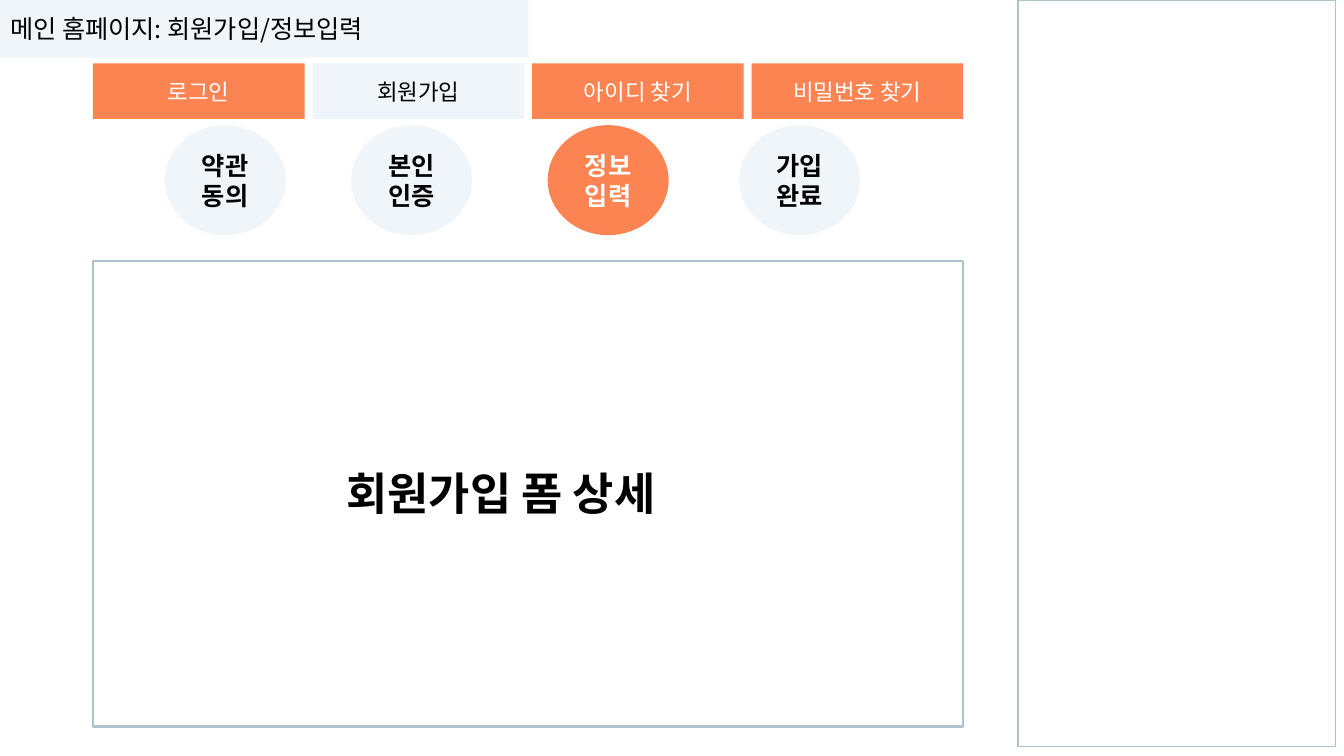
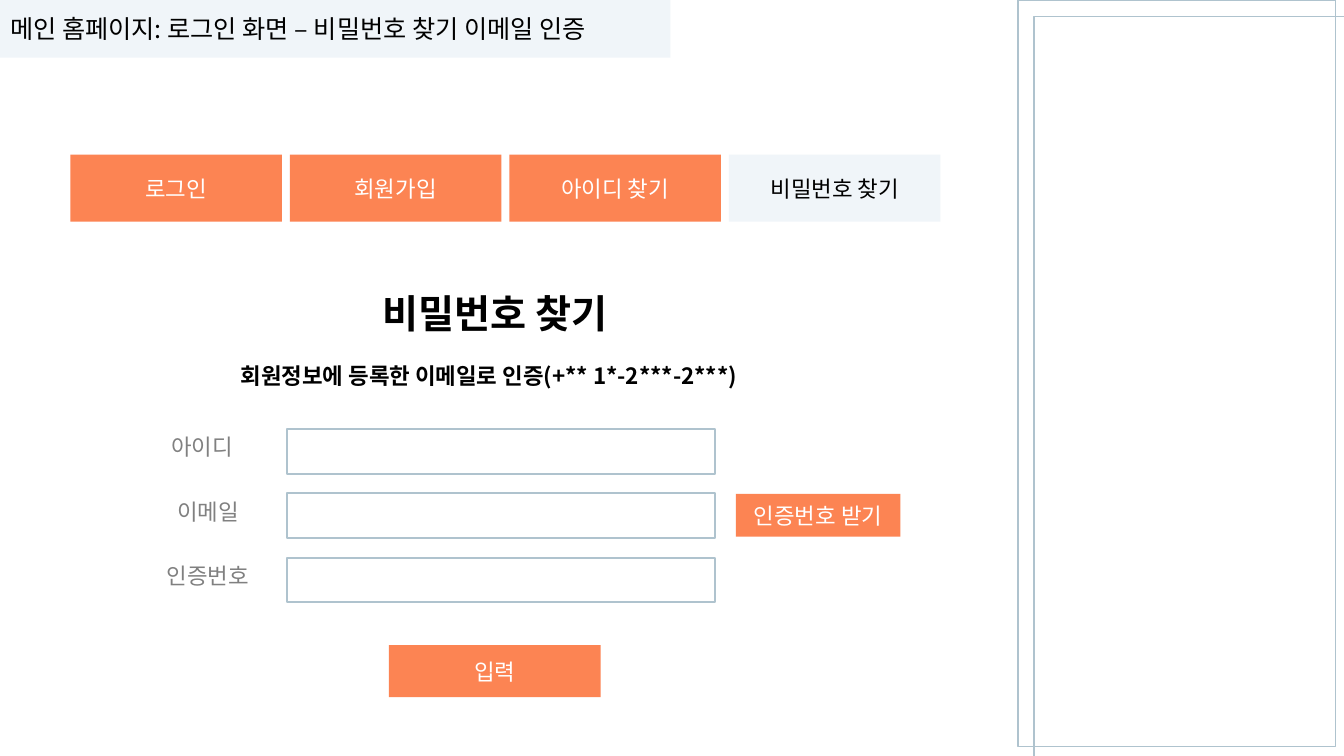
from dataclasses import dataclass
from lxml import etree
from pptx import Presentation
from pptx.dml.color import RGBColor
from pptx.enum.shapes import MSO_SHAPE
from pptx.enum.text import MSO_ANCHOR, MSO_AUTO_SIZE, PP_ALIGN
from pptx.oxml.ns import qn
from pptx.util import Inches, Pt

RECT, DISC = MSO_SHAPE.RECTANGLE, MSO_SHAPE.FLOWCHART_CONNECTOR
LEFT, MID = PP_ALIGN.LEFT, PP_ALIGN.CENTER
CENTER, FIXED = MSO_ANCHOR.MIDDLE, MSO_AUTO_SIZE.NONE
WIDE, HIGH = Inches(13.33), Inches(7.5)
COLS, ROWS = 160, 90


@dataclass(frozen=True)
class Theme:
    """Colours, type sizes and line widths of the deck."""
    font: str = "Noto Sans CJK KR"
    pale: str = "F0F5F9"
    warm: str = "FC8453"
    edge: str = "AFC3CE"
    ink: str = "000000"
    soft: str = "808080"
    white: str = "FFFFFF"
    hero: int = 32
    head: int = 28
    band: int = 18
    body: int = 16
    thin: float = 1
    firm: float = 1.5


T = Theme()
TABS = ("로그인", "회원가입", "아이디 찾기", "비밀번호 찾기")
STEPS = ((0, "약관동의"), (22.2, "본인인증"), (45.6, "정보입력"), (68.4, "가입\n완료"))
FIELDS = ((-0.7, "아이디"), (0, "이메일"), (0, "인증번호"))


def spot(box):
    """Turn a box in columns and rows into slide lengths."""
    x, y, w, h = box
    return [int(v) for v in (x * WIDE / COLS, y * HIGH / ROWS, w * WIDE / COLS, h * HIGH / ROWS)]


def inner(box, x, y, w, h):
    """Give the box that lies at x, y inside another box."""
    return box[0] + x, box[1] + y, w, h


def write(shape, text, size, color, bold=False, align=MID):
    """Fill a shape with text in one style."""
    frame = shape.text_frame
    frame.text = text
    frame.word_wrap = True
    frame.auto_size = FIXED
    frame.vertical_anchor = CENTER
    for para in frame.paragraphs:
        para.alignment = align
        font = para.font
        font.size, font.bold = Pt(size), bold
        font.color.rgb = RGBColor.from_string(color)
        font.name = T.font
        props = para._p.pPr.find(qn("a:defRPr"))
        etree.SubElement(props, qn("a:ea")).set("typeface", T.font)


def paint(shape, color):
    """Give a shape a plain fill."""
    shape.fill.solid()
    shape.fill.fore_color.rgb = RGBColor.from_string(color)


def block(slide, box, text, on=False, kind=RECT, size=T.body, bold=False):
    """Draw a filled shape, warm when on and pale when off."""
    shape = slide.shapes.add_shape(kind, *spot(box))
    shape.shadow.inherit = False
    shape.line.fill.background()
    paint(shape, T.warm if on else T.pale)
    write(shape, text, size, T.white if on else T.ink, bold)


def frame(slide, box, width=T.firm):
    """Draw an empty outlined box."""
    shape = slide.shapes.add_shape(RECT, *spot(box))
    shape.shadow.inherit = False
    shape.fill.background()
    shape.line.color.rgb = RGBColor.from_string(T.edge)
    shape.line.width = Pt(width)


def label(slide, box, text, size=T.body, color=T.ink, bold=True, align=MID):
    """Place a text box."""
    write(slide.shapes.add_textbox(*spot(box)), text, size, color, bold, align)


def page(deck, title, width):
    """Add a slide with its title band and side panel."""
    slide = deck.slides.add_slide(deck.slide_layouts[5])
    band = slide.shapes.title
    band.left, band.top, band.width, band.height = spot((0, 0, width, 6.85))
    paint(band, T.pale)
    write(band, title, T.band, T.ink, align=LEFT)
    side(slide, (121.2, 0, 37.8, 88.9))
    return slide


def side(slide, box):
    """Draw a side panel."""
    frame(slide, box, T.thin)


def tabs(slide, box, open_tab):
    """Draw the row of tabs with the open one pale."""
    x, y, w, h = box
    gap = 0.95
    wide = (w - gap * (len(TABS) - 1)) / len(TABS)
    for i, name in enumerate(TABS):
        block(slide, (x + i * (wide + gap), y, wide, h), name, name != open_tab)


def steps(slide, box, now):
    """Draw the sign-up steps with the current one warm."""
    for i, (x, name) in enumerate(STEPS):
        block(slide, inner(box, x, 0, 14.4, box[3]), name, i == now, DISC, T.band, True)


def panel(slide, box, text):
    """Draw the main panel with its heading."""
    frame(slide, box)
    label(slide, inner(box, 29, 23.9, 44.6, 7.4), text, T.hero, align=LEFT)


def form(slide, box):
    """Draw the password form."""
    label(slide, inner(box, 26, 0, 31.4, 5.8), "비밀번호 찾기", T.head)
    label(slide, inner(box, 2.7, 7.4, 76.6, 5.8), "회원정보에 등록한 이메일로 인증(+** 1*-2***-2***)")
    for i, (shift, name) in enumerate(FIELDS):
        y = 15.9 + 7.65 * i
        label(slide, inner(box, shift, y, 15.1, 5.8), name, color=T.soft, bold=False)
        frame(slide, inner(box, 17, y + 0.8, 50.9, 5.3))
    block(slide, inner(box, 70.4, 24.4, 19.6, 5.1), "인증번호 받기", True)
    block(slide, inner(box, 29.1, 42.4, 25.2, 6.2), "입력", True)


def join(deck):
    """Build the sign-up slide."""
    slide = page(deck, "메인 홈페이지: 회원가입/정보입력", 62.9)
    tabs(slide, (11.07, 7.55, 103.6, 6.6), TABS[1])
    steps(slide, (19.6, 14.9, 82.8, 13.1), 2)
    panel(slide, (11.07, 31.1, 103.6, 55.4), "회원가입 폼 상세")


def reset(deck):
    """Build the password slide."""
    slide = page(deck, "메인 홈페이지: 로그인 화면 – 비밀번호 찾기 이메일 인증", 79.8)
    side(slide, (123.1, 2, 37.8, 88.9))
    tabs(slide, (8.37, 18.4, 103.6, 8), TABS[3])
    form(slide, (17.2, 34.4, 90, 48.6))


def main():
    """Build and save the deck."""
    deck = Presentation()
    deck.slide_width, deck.slide_height = WIDE, HIGH
    join(deck)
    reset(deck)
    deck.save("out.pptx")


if __name__ == "__main__":
    main()
